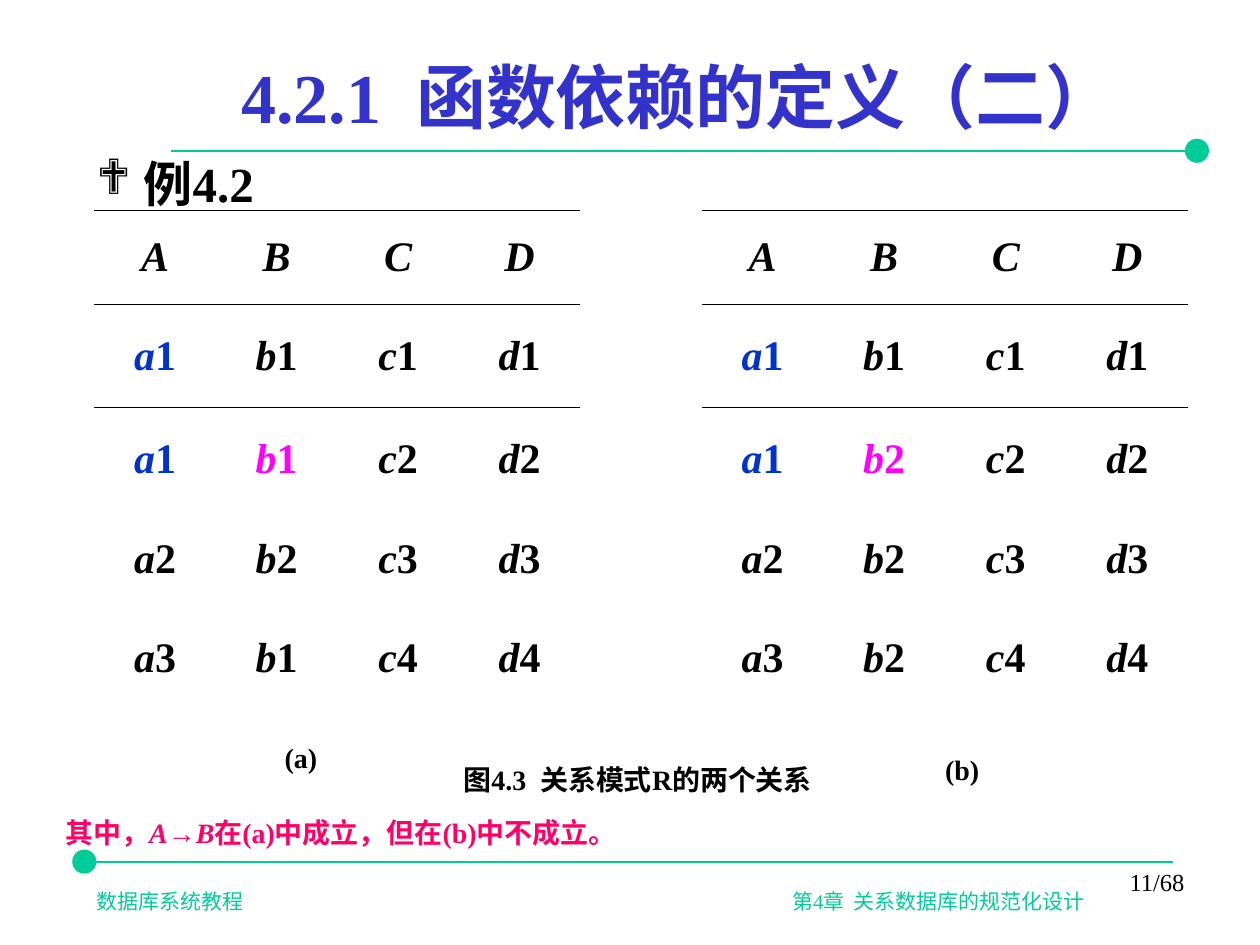
from lxml import etree
from pptx import Presentation
from pptx.dml.color import RGBColor
from pptx.enum.shapes import MSO_CONNECTOR, MSO_SHAPE
from pptx.enum.text import MSO_ANCHOR, PP_ALIGN
from pptx.oxml.ns import qn
from pptx.util import Cm, Pt

LEFT, CENTER, RIGHT = PP_ALIGN.LEFT, PP_ALIGN.CENTER, PP_ALIGN.RIGHT
TOP, MIDDLE = MSO_ANCHOR.TOP, MSO_ANCHOR.MIDDLE
DOT, STRAIGHT = MSO_SHAPE.FLOWCHART_CONNECTOR, MSO_CONNECTOR.STRAIGHT
BLACK = RGBColor(0x00, 0x00, 0x00)
GREEN = RGBColor(0x00, 0xCC, 0x99)
INDIGO = RGBColor(0x33, 0x33, 0xCC)
BLUE = RGBColor(0x00, 0x33, 0xCC)
MAGENTA = RGBColor(0xFF, 0x00, 0xFF)
PINK = RGBColor(0xFF, 0x00, 0x66)
FONT = "Times New Roman"
NO_TABLE_STYLE = "{2D5ABB26-0587-4C30-8999-92F81FD0307C}"

# Content: text as (string, italic) runs, lengths in cm
HEADINGS = "ABCD"
RELATION_A = ["a1 b1 c1 d1", "a1 b1 c2 d2", "a2 b2 c3 d3", "a3 b1 c4 d4"]
RELATION_B = ["a1 b1 c1 d1", "a1 b2 c2 d2", "a2 b2 c3 d3", "a3 b2 c4 d4"]
ROW_HEIGHTS = [1.9, 2.08, 2.08, 1.93, 2.08]
COL_WIDTH, COL_COUNT, SECOND_START = 2.45, 9, 5
CELL_COLORS = {(1, 0): BLUE, (2, 0): BLUE, (2, 1): MAGENTA}  # row, column

RULES = [  # line ends, dot position
    ((3.45, 3.05, 24.13, 3.05), (23.9, 2.81)),
    ((23.65, 17.37, 1.7, 17.37), (1.47, 17.14)),
]
NOTE = [("其中，", False), ("A", True), ("→", False), ("B", True),
        ("在(a)中成立，但在(b)中不成立。", False)]
TEXTS = [  # box, runs, size, colour, bold, alignment, anchor
    ((1.7, 17.78, 21.79, 0.76), [("数据库系统教程\t第4章  关系数据库的规范化设计", False)],
     12, GREEN, False, LEFT, TOP),
    ((3.45, 0.64, 20.45, 2.59), [("4.2.1  函数依赖的定义（二）", False)],
     40, INDIGO, True, CENTER, MIDDLE),
    ((1.7, 2.97, 10.92, 14.22), [("例4.2 ", False)], 28, BLACK, True, LEFT, TOP),
    ((8.69, 15.24, 8.46, 0.94), [("图4.3  关系模式R的两个关系 ", False)],
     16, BLACK, True, CENTER, TOP),
    ((4.65, 14.81, 2.97, 0.94), [("(a) ", False)], 16, BLACK, True, CENTER, TOP),
    ((1.07, 16.31, 22.02, 0.94), NOTE, 16, PINK, True, LEFT, TOP),
    ((17.98, 15.04, 2.97, 0.94), [("(b) ", False)], 16, BLACK, True, CENTER, TOP),
    ((18.21, 17.35, 5.92, 1.27), [("11/68", False)], 14, BLACK, False, RIGHT, TOP),
]
EXAMPLE, FOOTER = 2, 0


def add_runs(p, runs, size, color, bold):
    for text, italic in runs:
        r = p.add_run()
        r.text = text
        look = {"name": FONT, "size": Pt(size), "bold": bold, "italic": italic}
        for key, value in look.items():
            setattr(r.font, key, value)
        r.font.color.rgb = color


def add_border(cell, tag):
    ln = etree.SubElement(cell._tc.get_or_add_tcPr(), qn(tag), w=str(Pt(0.45)))
    fill = etree.SubElement(ln, qn("a:solidFill"))
    etree.SubElement(fill, qn("a:srgbClr"), val=str(BLACK))


prs = Presentation()
prs.slide_width, prs.slide_height = Cm(25.4), Cm(19.05)
s = prs.slides.add_slide(prs.slide_layouts[6])

# Green rules with a dot at one end
for ends, (x, y) in RULES:
    dot = s.shapes.add_shape(DOT, Cm(x), Cm(y), Cm(0.46), Cm(0.46))
    dot.shadow.inherit = False
    dot.fill.solid()
    dot.fill.fore_color.rgb = GREEN
    rule = s.shapes.add_connector(STRAIGHT, *map(Cm, ends))
    etree.SubElement(rule._element.spPr, qn("a:effectLst"))
    for sp, width in ((dot, 0.74), (rule, 1.25)):
        sp.line.color.rgb = GREEN
        sp.line.width = Pt(width)

# Text boxes
paragraphs = []
for box, runs, size, color, bold, align, anchor in TEXTS:
    tf = s.shapes.add_textbox(*map(Cm, box)).text_frame
    tf.word_wrap, tf.vertical_anchor = True, anchor
    p = tf.paragraphs[0]
    p.alignment = align
    add_runs(p, runs, size, color, bold)
    paragraphs.append(p)

# Diamond bullet on the example
pPr = paragraphs[EXAMPLE]._p.get_or_add_pPr()
pPr.set("marL", str(Cm(0.95)))
pPr.set("indent", str(Cm(-0.95)))
etree.SubElement(pPr, qn("a:buFont"), typeface="Wingdings")
etree.SubElement(pPr, qn("a:buChar"), char="❖")

# Tab stop between book and chapter in the footer
tabs = etree.SubElement(paragraphs[FOOTER]._p.get_or_add_pPr(), qn("a:tabLst"))
etree.SubElement(tabs, qn("a:tab"), pos=str(Cm(14.02)), algn="l")

# One table holding both relations, with an empty column between
table = s.shapes.add_table(
    len(ROW_HEIGHTS), COL_COUNT, Cm(1.9), Cm(4.24),
    Cm(COL_WIDTH * COL_COUNT), Cm(sum(ROW_HEIGHTS))).table
table.first_row = table.horz_banding = False
table._tbl.tblPr.find(qn("a:tableStyleId")).text = NO_TABLE_STYLE
for col in table.columns:
    col.width = Cm(COL_WIDTH)
for row, height in zip(table.rows, ROW_HEIGHTS):
    row.height = Cm(height)

for start, relation in ((0, RELATION_A), (SECOND_START, RELATION_B)):
    rows = [list(HEADINGS)] + [line.split() for line in relation]
    for i, values in enumerate(rows):
        for j, value in enumerate(values):
            cell = table.cell(i, start + j)
            cell.vertical_anchor = MIDDLE
            p = cell.text_frame.paragraphs[0]
            p.alignment = CENTER
            runs = [(ch, ch.isalpha()) for ch in value]
            add_runs(p, runs, 24, CELL_COLORS.get((i, j), BLACK), True)
            for tag in (("a:lnT", "a:lnB"), ("a:lnT",))[i] if i < 2 else ():
                add_border(cell, tag)
for cell in table.iter_cells():
    cell.fill.background()

prs.save("out.pptx")
